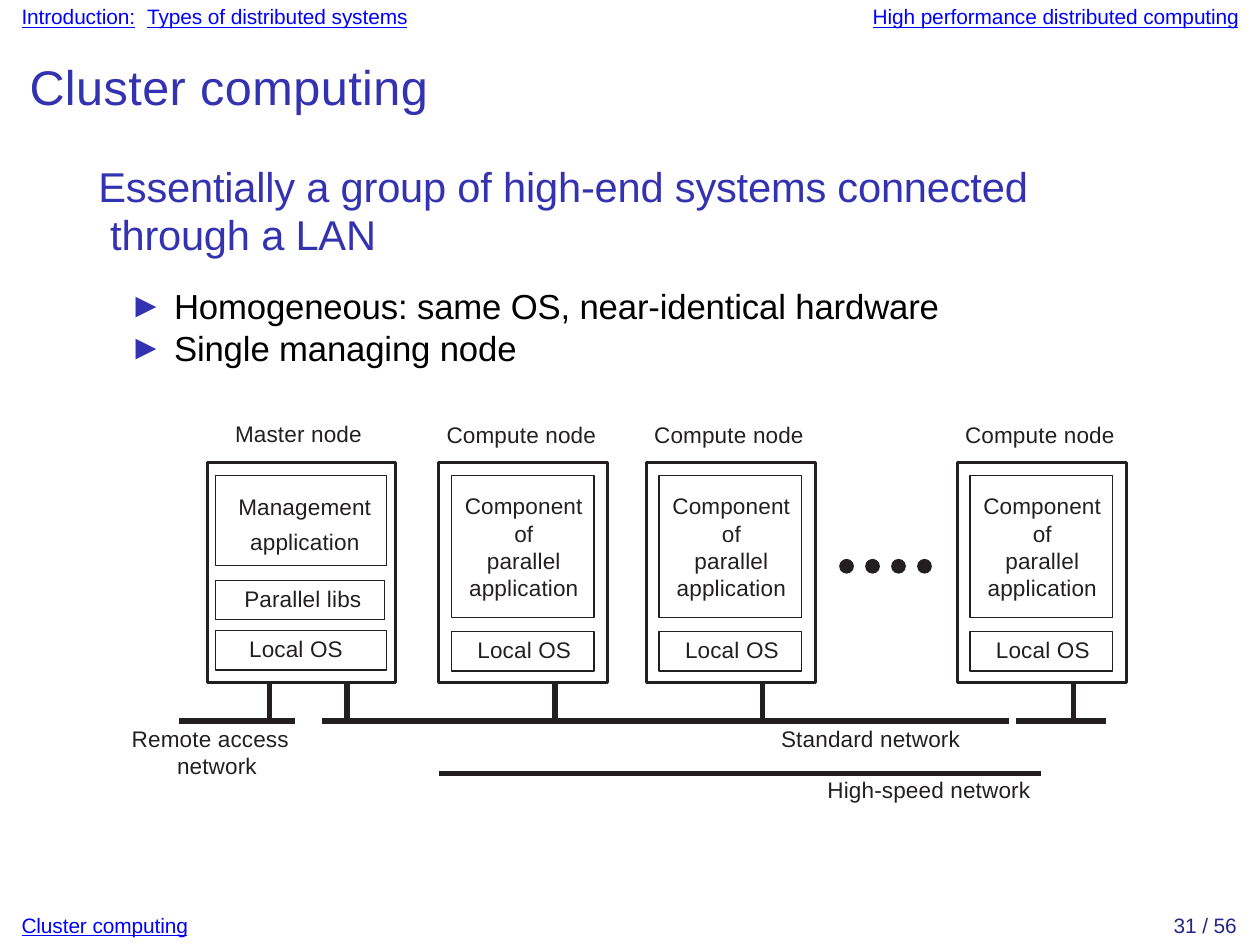
from lxml.etree import SubElement
from pptx import Presentation
from pptx.dml.color import RGBColor
from pptx.enum.shapes import MSO_CONNECTOR, MSO_SHAPE
from pptx.enum.text import MSO_ANCHOR, MSO_AUTO_SIZE, PP_ALIGN
from pptx.oxml.ns import qn
from pptx.util import Cm, Pt

INK = RGBColor(0x23, 0x1F, 0x20)
BLUE = RGBColor(0x33, 0x33, 0xB2)
LINK = RGBColor(0x00, 0x00, 0xFF)
NAVY = RGBColor(0x26, 0x26, 0x85)
BLACK = RGBColor(0x00, 0x00, 0x00)

deck = Presentation()
deck.slide_width, deck.slide_height = Pt(363), Pt(272.5)
slide = deck.slides.add_slide(deck.slide_layouts[1])
shapes = slide.shapes


def write(shape, text, size=6.5, color=INK, align=PP_ALIGN.LEFT,
          anchor=MSO_ANCHOR.TOP, track=6):
    """Fill the first paragraph; track is letter spacing in 1/100 pt."""
    frame = shape.text_frame
    frame.margin_left = frame.margin_right = 0
    frame.margin_top = frame.margin_bottom = 0
    frame.word_wrap = True
    frame.auto_size = MSO_AUTO_SIZE.NONE
    frame.vertical_anchor = anchor
    para = frame.paragraphs[0]
    para.text = text
    para.alignment = align
    para.font.name, para.font.size = "Arial", Pt(size)
    para.font.color.rgb = color
    for run in para.runs:
        run._r.get_or_add_rPr().set("spc", str(track))
    return para


def box(x, y, w, h, width=0.41, text="", shift=0, lift=0):
    """Draw an outlined box; shift and lift move its centred text."""
    rect = shapes.add_shape(MSO_SHAPE.RECTANGLE, Cm(x), Cm(y), Cm(w), Cm(h))
    rect.shadow.inherit = False
    rect.fill.background()
    rect.line.color.rgb, rect.line.width = INK, Pt(width)
    para = write(rect, text, align=PP_ALIGN.CENTER, anchor=MSO_ANCHOR.MIDDLE)
    rect.text_frame.margin_left = Cm(shift)
    rect.text_frame.margin_bottom = Cm(lift)
    return para


# Title and list
title = shapes.title
title.left, title.top, title.width, title.height = Cm(0.3), Cm(0.58), Cm(4.5), Cm(0.6)
write(title, "Cluster computing", 14, BLUE, track=10)

body = slide.placeholders[1]
body.left, body.top, body.width, body.height = Cm(0.94), Cm(1.65), Cm(9.8), Cm(2.1)
lead = write(body, "Essentially a group of high-end systems connected\vthrough a LAN",
             12, BLUE, track=-5)
lead.line_spacing = Pt(13.9)
props = lead._p.get_or_add_pPr()
props.set("marL", str(Cm(0.18)))
props.set("indent", str(Cm(-0.12)))
props.insert_element_before(props.makeelement(qn("a:buNone")), "a:tabLst", "a:defRPr")

points = ["Homogeneous: same OS, near-identical hardware", "Single managing node"]
for text, before in zip(points, (7.5, 0)):
    para = body.text_frame.add_paragraph()
    para.text = text
    para.line_spacing, para.space_before = Pt(12), Pt(before)
    props = para._p.get_or_add_pPr()
    props.set("marL", str(Cm(0.83)))
    props.set("indent", str(Cm(-0.46)))
    tint = SubElement(props, qn("a:buClr"))
    SubElement(tint, qn("a:srgbClr"), val=str(BLUE))
    SubElement(props, qn("a:buChar"), char="►")
    para.font.name, para.font.size = "Arial", Pt(10)
    para.font.color.rgb = BLACK
    para.runs[0]._r.get_or_add_rPr().set("spc", "-4")

# Header and footer
head = shapes.add_textbox(Cm(0.22), Cm(0.04), Cm(12.5), Cm(0.3))
para = write(head, "", 6, LINK)
props = para._p.get_or_add_pPr()
tabs = props.makeelement(qn("a:tabLst"))
SubElement(tabs, qn("a:tab"), pos=str(Cm(8.65)), algn="l")
props.insert_element_before(tabs, "a:defRPr")
for text, track in [("Introduction:", -4), (" ", 180),
                    ("Types of distributed systems", -4), ("\t", 0),
                    ("High performance distributed computing", -4)]:
    run = para.add_run()
    run.text = text
    run.font.underline = bool(text.strip())
    run._r.get_or_add_rPr().set("spc", str(track))

foot = shapes.add_textbox(Cm(0.22), Cm(9.27), Cm(1.9), Cm(0.3))
write(foot, "Cluster computing", 6, LINK, track=-4).font.underline = True
page = shapes.add_textbox(Cm(11.77), Cm(9.27), Cm(0.8), Cm(0.3))
write(page, "31 / 56", 6, NAVY, PP_ALIGN.RIGHT, track=-4)

# Nodes
TOP, TALL, BUS, FAST = 4.7, 2.24, 7.33, 7.86
LEFTS = [4.46, 6.57, 9.73]
box(2.11, TOP, 1.91, TALL, 0.83)
box(2.19, 4.83, 1.74, 0.92, text="Management\vapplication", shift=0.08).line_spacing = 1.28
box(2.19, 5.9, 1.72, 0.4, text="Parallel libs", shift=0.06, lift=0.04)
box(2.19, 6.41, 1.74, 0.4, text="Local OS", shift=-0.1, lift=0.04)
for x in LEFTS:
    box(x, TOP, 1.72, TALL, 0.83)
    box(x + 0.13, 4.83, 1.45, 1.45, text="Component\vof\vparallel\vapplication", shift=0.02)
    box(x + 0.13, 6.42, 1.45, 0.4, text="Local OS", shift=0.03, lift=0.04)

for i in range(4):
    dot = shapes.add_shape(MSO_SHAPE.OVAL, Cm(8.53 + 0.264 * i), Cm(5.68), Cm(0.15), Cm(0.15))
    dot.shadow.inherit = False
    dot.fill.solid()
    dot.fill.fore_color.rgb = INK
    dot.line.fill.background()

# Networks
stubs = [2.74, 3.53] + [x + 1.18 for x in LEFTS]
wires = [(x, TOP + TALL, x, BUS) for x in stubs]
wires += [(1.82, BUS, 3.0, BUS), (3.27, BUS, 10.26, BUS),
          (10.33, BUS, 11.24, BUS), (4.46, FAST, 10.58, FAST)]
for wire in wires:
    line = shapes.add_connector(MSO_CONNECTOR.STRAIGHT, *map(Cm, wire))
    line.line.color.rgb, line.line.width = INK, Pt(1.66)
    SubElement(line._element.spPr, qn("a:effectLst"))

# Labels
labels = [("Master node", 2.39, 4.27, 1.4), ("Standard network", 7.94, 7.37, 1.95),
          ("High-speed network", 8.41, 7.89, 2.2)]
labels += [("Compute node", x + 0.08, 4.28, 1.65) for x in LEFTS]
for text, x, y, w in labels:
    write(shapes.add_textbox(Cm(x), Cm(y), Cm(w), Cm(0.3)), text)
remote = shapes.add_textbox(Cm(1.34), Cm(7.37), Cm(1.7), Cm(0.6))
props = write(remote, "Remote access\vnetwork")._p.get_or_add_pPr()
props.set("marL", str(Cm(0.46)))
props.set("indent", str(Cm(-0.46)))

deck.save("out.pptx")
